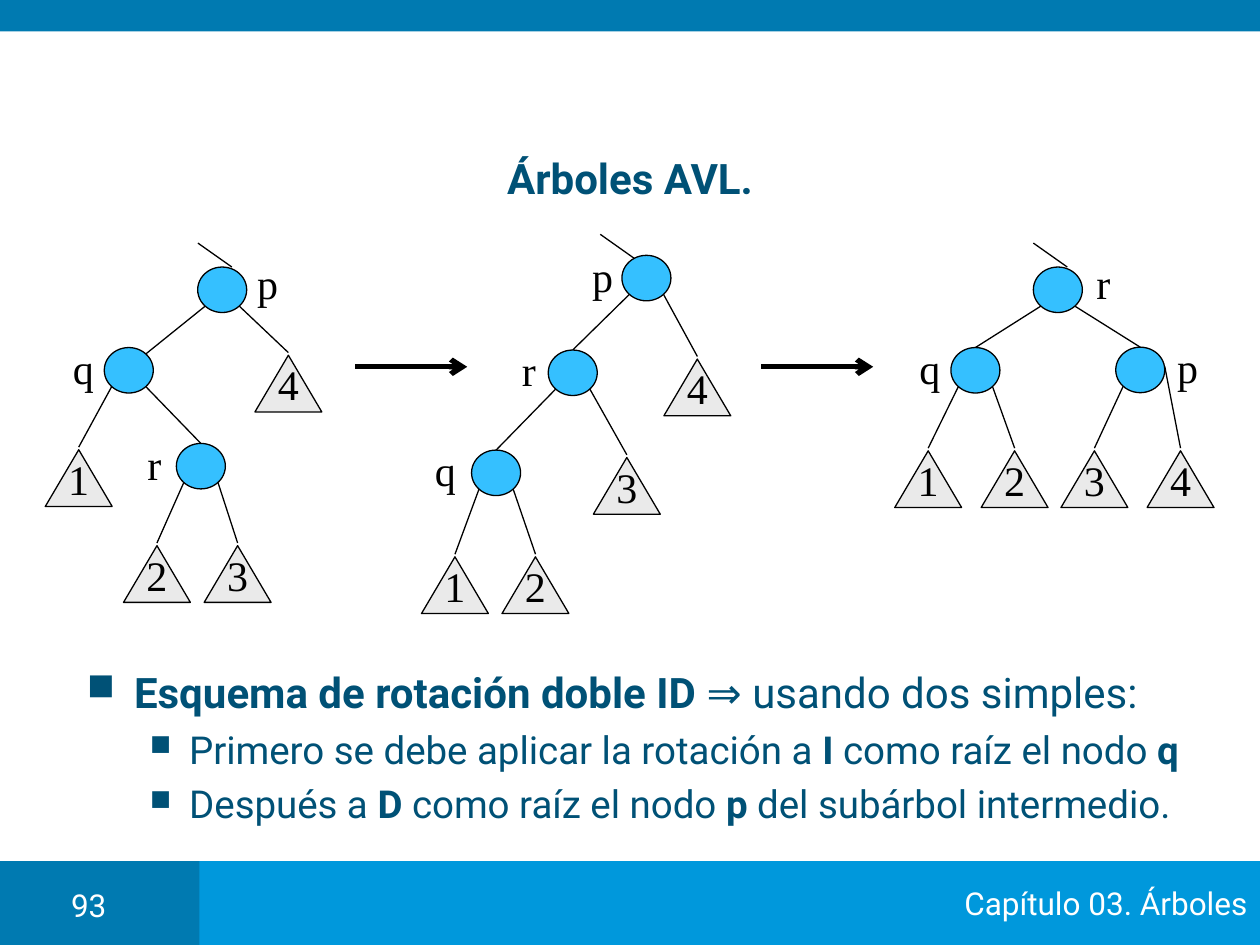
from dataclasses import dataclass

from pptx import Presentation
from pptx.dml.color import RGBColor
from pptx.enum.shapes import MSO_CONNECTOR, MSO_SHAPE
from pptx.enum.text import MSO_ANCHOR, PP_ALIGN
from pptx.oxml.ns import qn
from pptx.util import Pt
from lxml.etree import SubElement


@dataclass(frozen=True)
class Theme:
    dark: str = "007AB1"
    bright: str = "0098DC"
    heading: str = "005176"
    node: str = "35C0FF"
    leaf: str = "EAEAEA"
    ink: str = "000000"
    white: str = "FFFFFF"
    font: str = "Roboto"
    tree_font: str = "Times New Roman"
    large: float = 24
    medium: float = 22
    small: float = 18
    thin: float = 0.75
    thick: float = 3


NODE_W, NODE_H = 28, 26
LEAF_W, LEAF_H = 38.2, 32.4
LABEL_W, LABEL_H = 26.6, 36
# Points on a node, measured from its centre, where edges may start or end
PORTS = {
    "top": (0, -NODE_H / 2),
    "right": (NODE_W / 2, -2),
    "upper right": (9.8, -9.4),
    "lower left": (-9.8, 9.4),
    "lower right": (9.8, 9.4),
}


class TreeSlide:
    def __init__(self, slide, theme):
        self.slide, self.theme = slide, theme
        self.canvas = slide.shapes

    def shape(self, kind, left, top, width, height, fill, outlined=False):
        shape = self.canvas.add_shape(kind, Pt(left), Pt(top), Pt(width), Pt(height))
        shape.shadow.inherit = False
        shape.fill.solid()
        shape.fill.fore_color.rgb = RGBColor.from_string(fill)
        if outlined:
            shape.line.color.rgb = RGBColor.from_string(self.theme.ink)
            shape.line.width = Pt(self.theme.thin)
        else:
            shape.line.fill.background()
        return shape

    def line(self, start, end, width, arrow=False):
        line = self.canvas.add_connector(
            MSO_CONNECTOR.STRAIGHT, *(Pt(value) for value in (*start, *end)))
        line.line.color.rgb = RGBColor.from_string(self.theme.ink)
        line.line.width = Pt(width)
        properties = line.element.spPr
        if arrow:
            SubElement(properties.find(qn("a:ln")), qn("a:tailEnd"), type="arrow")
        SubElement(properties, qn("a:effectLst"))

    def textbox(self, left, top, width, height, anchor=MSO_ANCHOR.TOP, wrap=True):
        frame = self.canvas.add_textbox(Pt(left), Pt(top), Pt(width), Pt(height)).text_frame
        frame.word_wrap = wrap
        frame.vertical_anchor = anchor
        return frame

    def run(self, paragraph, text, size, color, bold=False, font=None):
        run = paragraph.add_run()
        run.text = text
        run.font.name = font or self.theme.font
        run.font.size = Pt(size)
        run.font.bold = bold
        run.font.color.rgb = RGBColor.from_string(color)

    def single_line(self, frame, text, size, color, align=PP_ALIGN.CENTER, **style):
        paragraph = frame.paragraphs[0]
        paragraph.alignment = align
        self.run(paragraph, text, size, color, **style)

    def label(self, x, y, text):
        """Write a tree letter or digit centred on a point."""
        frame = self.textbox(x - LABEL_W / 2, y - LABEL_H / 2, LABEL_W, LABEL_H,
                             MSO_ANCHOR.MIDDLE, wrap=False)
        self.single_line(frame, text, self.theme.large, self.theme.ink,
                         font=self.theme.tree_font)

    def tree(self, nodes, leaves, edges, stub):
        """Draw a grouped tree; stub is where its incoming line meets the root."""
        self.canvas = self.slide.shapes.add_group_shape().shapes
        for name, (x, y, label_dx, label_dy) in nodes.items():
            self.shape(MSO_SHAPE.OVAL, x - NODE_W / 2, y - NODE_H / 2,
                       NODE_W, NODE_H, self.theme.node, outlined=True)
            self.label(x + label_dx, y + label_dy, name)
        for name, (x, y) in leaves.items():
            self.shape(MSO_SHAPE.ISOSCELES_TRIANGLE, x - LEAF_W / 2, y,
                       LEAF_W, LEAF_H, self.theme.leaf, outlined=True)
            self.label(x, y + 16.5, name)

        def port(name, side):
            x, y = nodes[name][:2]
            dx, dy = PORTS[side]
            return x + dx, y + dy

        for parent, out_side, child, *in_side in edges:
            if child in leaves:
                x, y = leaves[child]
                end = x, y - 1.5
            else:
                end = port(child, in_side[0] if in_side else "top")
            self.line(port(parent, out_side), end, self.theme.thin)
        self.line(stub, (stub[0] - 19.4, stub[1] - 13.7), self.theme.thin)
        self.canvas = self.slide.shapes

    def bullet(self, paragraph, level, runs):
        size, margin, hanging, percent = (
            (self.theme.large, 27, 27, 90), (self.theme.medium, 58.5, 22.5, 75))[level]
        paragraph.level = level
        properties = paragraph._p.get_or_add_pPr()
        properties.set("marL", str(Pt(margin)))
        properties.set("indent", str(-Pt(hanging)))
        if level:
            paragraph.space_before = Pt(5)
        color = SubElement(properties, qn("a:buClr"))
        SubElement(color, qn("a:srgbClr"), val=self.theme.heading)
        SubElement(properties, qn("a:buSzPct"), val=str(percent * 1000))
        SubElement(properties, qn("a:buChar"), char="■")
        for text, bold in runs:
            self.run(paragraph, text, size, self.theme.heading, bold)


def main():
    theme = Theme()
    deck = Presentation()
    deck.slide_width, deck.slide_height = Pt(720), Pt(540)
    page = TreeSlide(deck.slides.add_slide(deck.slide_layouts[6]), theme)

    page.shape(MSO_SHAPE.RECTANGLE, 0, 492, 132, 48, theme.dark)
    footer = page.shape(MSO_SHAPE.RECTANGLE, 114, 492, 606, 48, theme.bright).text_frame
    footer.word_wrap = False
    footer.vertical_anchor = MSO_ANCHOR.MIDDLE
    page.single_line(footer, "Capítulo 03. Árboles", theme.small, theme.white, PP_ALIGN.RIGHT)
    page.shape(MSO_SHAPE.RECTANGLE, 0, 0, 720, 18, theme.dark)
    page.single_line(page.textbox(25.2, 502.5, 51, 23), "93", theme.small, theme.white)
    page.single_line(page.textbox(60, 86.4, 600, 30, MSO_ANCHOR.MIDDLE),
                     "Árboles AVL.", theme.large, theme.heading, bold=True)

    explanation = page.textbox(42.5, 377.3, 663, 103)
    bullets = [
        (0, [("Esquema de rotación doble ID ", True), ("⇒ usando dos simples:", False)]),
        (1, [("Primero se debe aplicar la rotación a ", False), ("I", True),
             (" como raíz el nodo ", False), ("q", True)]),
        (1, [("Después a ", False), ("D", True), (" como raíz el nodo ", False),
             ("p", True), (" del subárbol intermedio.", False)]),
    ]
    for index, (level, runs) in enumerate(bullets):
        paragraph = explanation.add_paragraph() if index else explanation.paragraphs[0]
        page.bullet(paragraph, level, runs)

    left, right = "lower left", "lower right"
    page.tree(
        nodes={"p": (127, 165.6, 26, -4), "q": (73.6, 211.6, -26, -1.5),
               "r": (114.8, 266.4, -26.5, -1.5)},
        leaves={"1": (45, 257), "2": (89.7, 311.8), "3": (135.8, 311.8), "4": (164.8, 203)},
        edges=[("p", left, "q", "upper right"), ("p", right, "4"), ("q", left, "1"),
               ("q", right, "r"), ("r", left, "2"), ("r", right, "3")],
        stub=(132.5, 152.6))
    page.tree(
        nodes={"p": (369.4, 158.9, -25, -1.5), "r": (327.3, 213, -25, -2),
               "q": (283.5, 270.2, -29, -2)},
        leaves={"1": (260, 318.2), "2": (306, 318.2), "3": (358.2, 261.4), "4": (398.5, 205.2)},
        edges=[("p", left, "r"), ("p", right, "4"), ("r", left, "q"),
               ("r", right, "3"), ("q", left, "1"), ("q", right, "2")],
        stub=(362.4, 147.6))
    page.tree(
        nodes={"r": (604.5, 165.6, 26, -4), "q": (557.4, 211.6, -26, -1.5),
               "p": (651.6, 211.4, 27, -2)},
        leaves={"1": (530.4, 257.6), "2": (579.8, 257.6), "3": (625.4, 257.6),
                "4": (674.6, 257.6)},
        edges=[("r", left, "q"), ("r", right, "p"), ("q", left, "1"),
               ("q", right, "2"), ("p", left, "3"), ("p", "right", "4")],
        stub=(609.9, 152.6))
    for arrow_left in (203, 435):
        page.line((arrow_left, 209.6), (arrow_left + 64, 209.6), theme.thick, arrow=True)

    deck.save("out.pptx")


if __name__ == "__main__":
    main()
